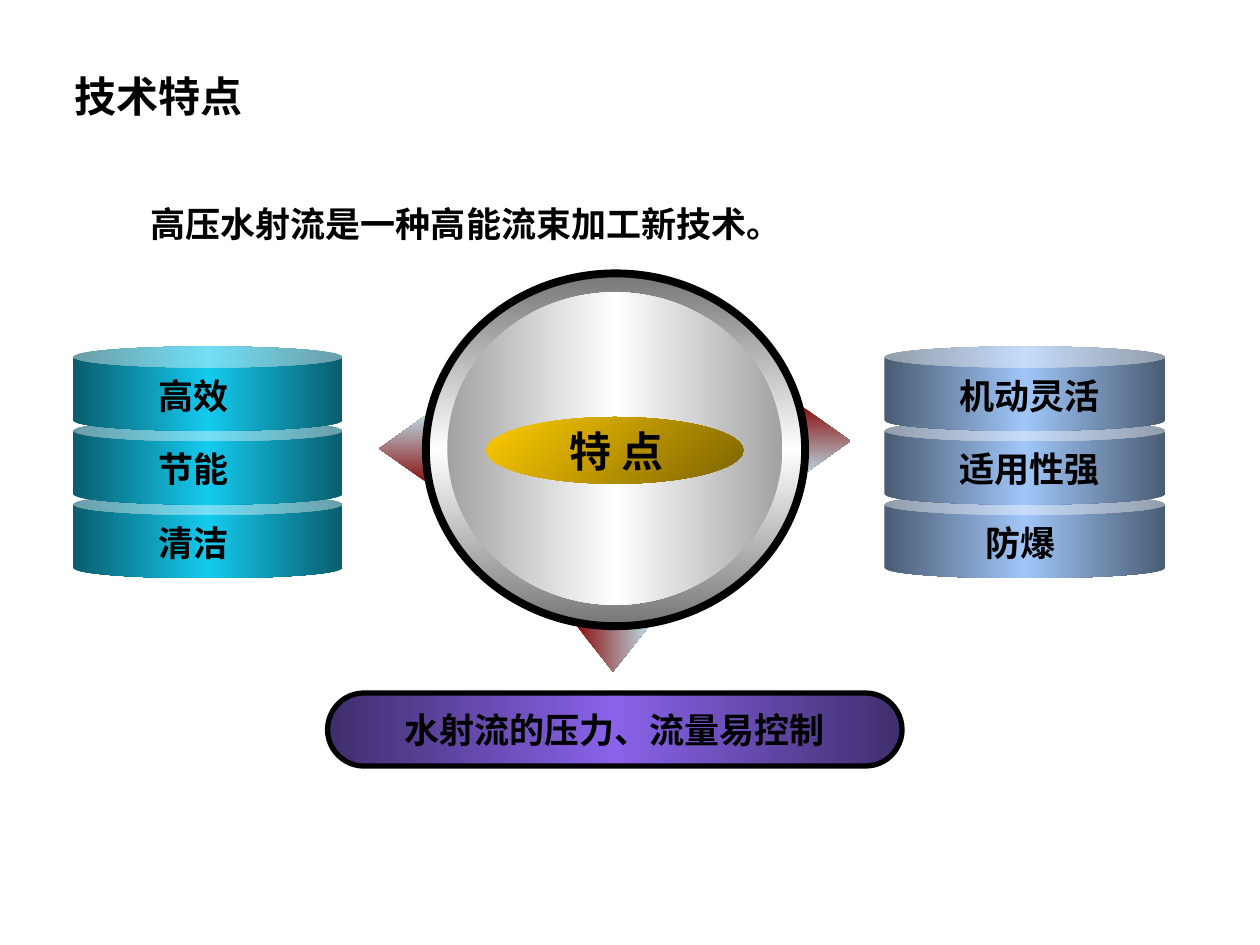
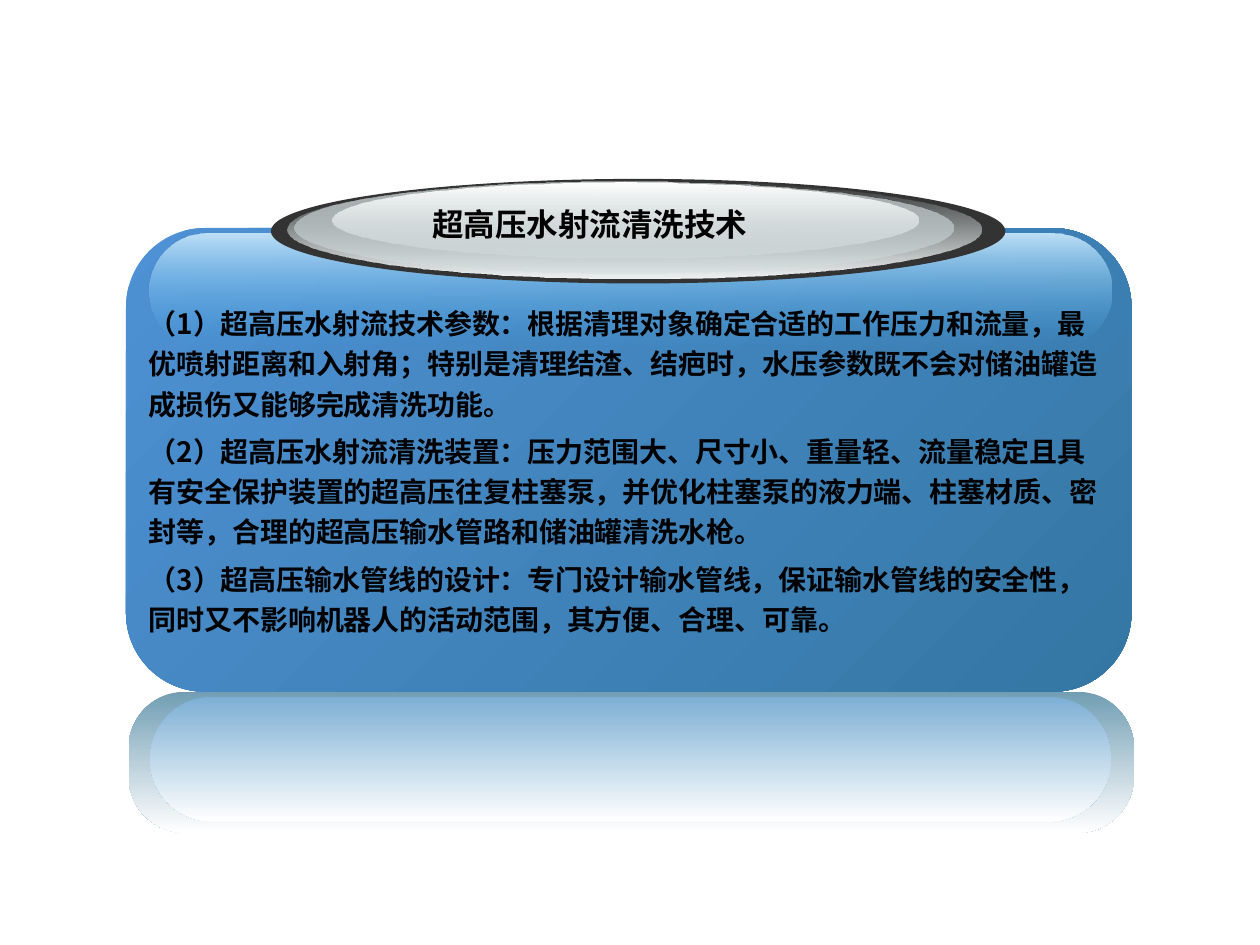
import pptx
import pptx.util
import pptx.oxml
import pptx.oxml.ns
import pptx.dml.color
import pptx.enum.shapes
import pptx.enum.text

COLORS = {
    "black": "000000", "white": "FFFFFF", "charcoal": "333333",
    "red": "8B1111", "ice": "BBDAE4", "steel": "767676", "silver": "A2A2A2",
    "gold": "FFCC00", "bronze": "7C6300", "teal": "14CAEE", "deep_teal": "095D6E",
    "sky": "A0C6F8", "slate": "4A5C73", "violet": "8963E9", "deep_violet": "3F2E6C",
    "panel": "4E91D4", "deep_panel": "3477A4", "gloss": "BEE0F7", "azure": "3CA1E6",
    "mirror": "729EB4", "mirror_gloss": "7DAFD4",
    "mist": "D6E1E2", "pearl": "F1F5F5", "pewter": "AAB2B3",
}
SHAPE = pptx.enum.shapes.MSO_SHAPE
ALIGN = pptx.enum.text.PP_ALIGN
ANCHOR = pptx.enum.text.MSO_ANCHOR


class Deck:
    font = "Arial"
    body_font = "Noto Sans CJK SC"
    columns, rows = 100, 75

    def __init__(self):
        self.prs = pptx.Presentation()
        self.prs.slide_width = pptx.util.Inches(10)
        self.prs.slide_height = pptx.util.Inches(7.5)
        self.s = None

    def slide(self, layout):
        self.s = self.prs.slides.add_slide(self.prs.slide_layouts[layout])

    def box(self, at):
        col = self.prs.slide_width / self.columns
        row = self.prs.slide_height / self.rows
        return [round(v * unit) for v, unit in zip(at, (col, row, col, row))]

    def rgb(self, color):
        return pptx.dml.color.RGBColor.from_string(COLORS[color])

    def set_text(self, sp, paragraphs, size, align, anchor, wrap=True, font=None):
        tf = sp.text_frame
        tf.text = "\n".join(paragraphs)
        tf.word_wrap = wrap
        tf.auto_size = pptx.enum.text.MSO_AUTO_SIZE.NONE
        tf.vertical_anchor = anchor
        for p in tf.paragraphs:
            p.alignment = align
            for r in p.runs:
                r.font.name = font or self.font
                r.font.size = pptx.util.Pt(size)
                r.font.bold = True
                r.font.color.rgb = self.rgb("black")

    def gradient(self, sp, stops, angle):
        xml = ""
        for i, stop in enumerate(stops):
            color, alpha = stop if isinstance(stop, tuple) else (stop, 100)
            pos = round(100000 * i / (len(stops) - 1))
            xml += (f'<a:gs pos="{pos}"><a:srgbClr val="{COLORS[color]}">'
                    f'<a:alpha val="{alpha * 1000}"/></a:srgbClr></a:gs>')
        fill = pptx.oxml.parse_xml(
            f'<a:gradFill {pptx.oxml.ns.nsdecls("a")} rotWithShape="1"><a:gsLst>{xml}</a:gsLst>'
            f'<a:lin ang="{angle * 60000}" scaled="0"/></a:gradFill>')
        sp.fill.background()
        spPr = sp.element.spPr
        spPr.replace(spPr.find(pptx.oxml.ns.qn("a:noFill")), fill)

    def shape(self, kind, at, stops, angle=0, adjust=(), border=0):
        sp = self.s.shapes.add_shape(kind, *self.box(at))
        sp.shadow.inherit = False
        for i, value in enumerate(adjust):
            sp.adjustments[i] = value
        if len(stops) == 1:
            sp.fill.solid()
            sp.fill.fore_color.rgb = self.rgb(stops[0])
        else:
            self.gradient(sp, stops, angle)
        if border:
            sp.line.color.rgb = self.rgb("black")
            sp.line.width = pptx.util.Pt(border)
        else:
            sp.line.fill.background()
        return sp

    def label(self, text, at, size=20):
        sp = self.s.shapes.add_textbox(*self.box(at))
        self.set_text(sp, [text], size, ALIGN.CENTER, ANCHOR.TOP, wrap=False)

    def place(self, sp, at):
        sp.left, sp.top, sp.width, sp.height = self.box(at)
        sp.element.getparent().append(sp.element)

    def title(self, text, at, size):
        sp = self.s.shapes.title
        self.place(sp, at)
        self.set_text(sp, [text], size, ALIGN.LEFT, ANCHOR.MIDDLE)

    def body(self, paragraphs, at):
        sp = self.s.placeholders[1]
        self.place(sp, at)
        self.set_text(sp, paragraphs, 16, ALIGN.LEFT, ANCHOR.TOP, font=self.body_font)
        for i, p in enumerate(sp.text_frame.paragraphs):
            pPr = p._p.get_or_add_pPr()
            pPr.set("marL", "0")
            pPr.set("indent", "0")
            pPr.append(pptx.oxml.parse_xml(f'<a:buNone {pptx.oxml.ns.nsdecls("a")}/>'))
            p.line_spacing = 1.2
            p.space_before = pptx.util.Pt(4 if i else 0)

    def can_stack(self, left, width, stops, labels):
        tops = [27.5 + 5.85 * i for i in range(len(labels))]
        for top in reversed(tops):
            self.shape(SHAPE.CAN, (left, top, width, 6.7), stops, adjust=[0.25])
        for top, (text, center) in zip(tops, labels):
            self.label(text, (center - 8, top + 1.7, 16, 4.4))


def features(deck):
    deck.slide(5)
    pointers = [
        (SHAPE.LEFT_ARROW, (30.1, 32.9, 3.8, 5.4), 270),
        (SHAPE.RIGHT_ARROW, (63.7, 32.3, 3.8, 5.4), 90),
        (SHAPE.DOWN_ARROW, (45.8, 49.7, 5.7, 3.6), 0),
    ]
    for kind, at, angle in pointers:
        deck.shape(kind, at, ["red", "ice"], angle, adjust=[0.52, 1])
    deck.shape(SHAPE.OVAL, (33.8, 21.7, 30.1, 28), ["steel", "white", "steel"], 90, border=4.5)
    deck.shape(SHAPE.OVAL, (35.5, 23.2, 26.6, 24.8), ["silver", "white", "silver"])
    deck.shape(SHAPE.OVAL, (38.6, 33.1, 20.4, 5.3), ["gold", "bronze"], 45)
    deck.label("特 点", (43.8, 33.3, 10.3, 5), 24)
    deck.can_stack(5.8, 21.4, ["deep_teal", "teal", "deep_teal"],
                   [("高效", 15.4), ("节能", 15.4), ("清洁", 15.4)])
    deck.can_stack(70.2, 22.3, ["slate", "sky", "slate"],
                   [("机动灵活", 81.7), ("适用性强", 81.7), ("防爆", 81)])
    pill = deck.shape(SHAPE.ROUNDED_RECTANGLE, (26, 55, 45.6, 5.8),
                      ["deep_violet", "violet", "deep_violet"], adjust=[0.5], border=3)
    deck.set_text(pill, ["水射流的压力、流量易控制"], 20, ALIGN.CENTER, ANCHOR.MIDDLE, wrap=False)
    deck.label("高压水射流是一种高能流束加工新技术。", (1.5, 15.6, 71, 4.4))
    deck.title("技术特点", (4.9, 5.1, 68.3, 5), 24)


def cleaning(deck):
    deck.slide(1)
    panels = [
        ((10, 18.1, 79.8, 36.8), ["panel", "deep_panel"], 45, 0.17),
        ((11.9, 18.5, 76.3, 9.1), ["gloss", ("azure", 0)], 90, 0.5),
        ((10.2, 54.9, 79.8, 11.2), ["mirror", "white"], 90, 0.4),
        ((11.9, 55.3, 76.3, 9.9), ["mirror_gloss", "white"], 90, 0.5),
    ]
    for at, stops, angle, radius in panels:
        deck.shape(SHAPE.ROUNDED_RECTANGLE, at, stops, angle, adjust=[radius])
    badge = [
        ((21.5, 14.2, 58.3, 8.3), ["charcoal"]),
        ((22.8, 14.3, 55.1, 7.8), [("mist", 0), "pearl"]),
        ((23.4, 14.4, 52.3, 7.3), ["pewter", ("mist", 48)]),
        ((26.4, 14.5, 46.5, 5.9), ["white", ("mist", 38)]),
    ]
    for at, stops in badge:
        deck.shape(SHAPE.OVAL, at, stops, 90)
    deck.title("超高压水射流清洗技术", (33.3, 15.8, 36.7, 4), 18)
    deck.body([
        "（1）超高压水射流技术参数：根据清理对象确定合适的工作压力和流量，最优喷射距离和入射角；"
        "特别是清理结渣、结疤时，水压参数既不会对储油罐造成损伤又能够完成清洗功能。",
        "（2）超高压水射流清洗装置：压力范围大、尺寸小、重量轻、流量稳定且具有安全保护装置的超高压往复柱塞泵，"
        "并优化柱塞泵的液力端、柱塞材质、密封等，合理的超高压输水管路和储油罐清洗水枪。",
        "（3）超高压输水管线的设计：专门设计输水管线，保证输水管线的安全性，"
        "同时又不影响机器人的活动范围，其方便、合理、可靠。",
    ], (10.8, 23.3, 78.3, 27.7))


def main():
    deck = Deck()
    features(deck)
    cleaning(deck)
    deck.prs.save("out.pptx")


if __name__ == "__main__":
    main()
